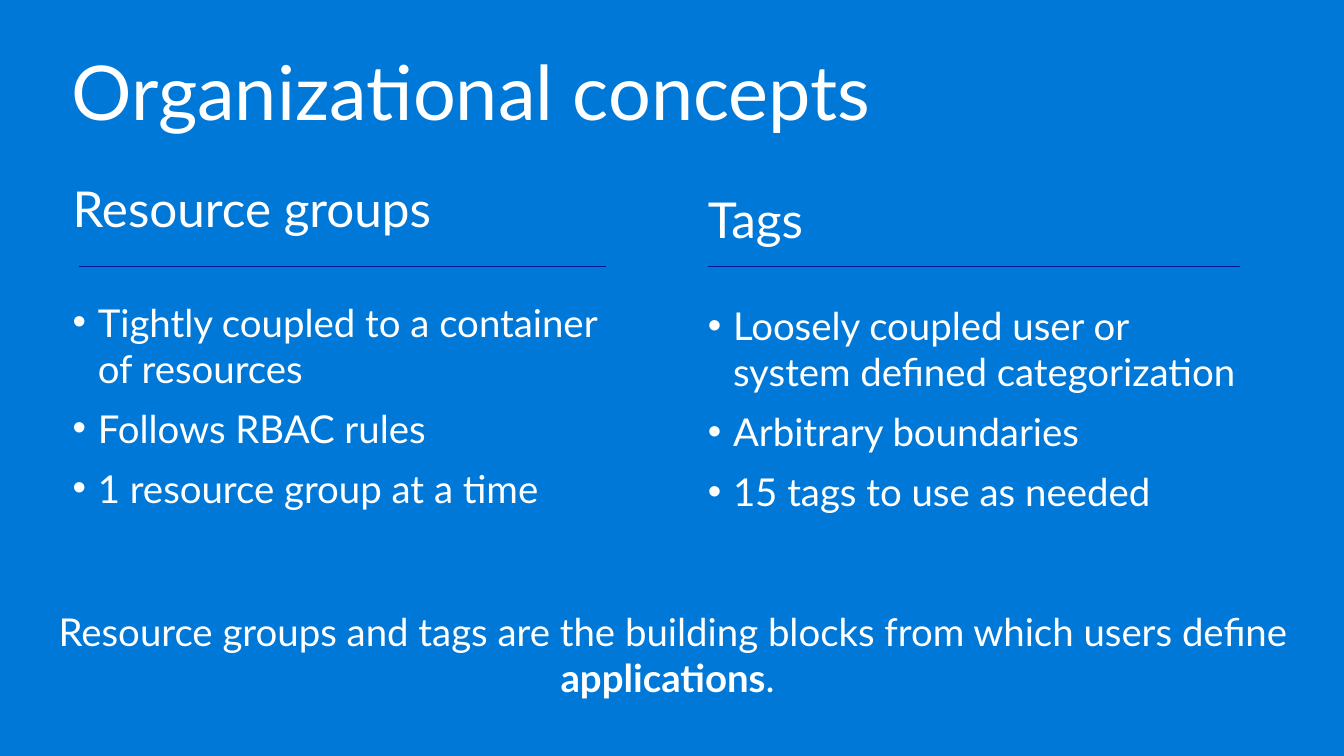
from lxml.etree import SubElement
from pptx import Presentation
from pptx.dml.color import RGBColor
from pptx.enum.shapes import MSO_CONNECTOR
from pptx.enum.text import MSO_ANCHOR, MSO_AUTO_SIZE, PP_ALIGN
from pptx.oxml.ns import qn
from pptx.util import Inches, Pt


def color(hex_value):
    return RGBColor.from_string(hex_value)


def apply(target, values):
    for name, value in values.items():
        setattr(target, name, value)


class Deck:
    font, ink, rule_ink, back = "Lato", "FFFFFF", "00188F", "0078D7"
    cols, rows = 133.3, 75
    title_size, head_size, body_size = 54, 35.3, 27.4
    hang = Inches(0.25)

    def __init__(self):
        self.prs = Presentation()
        apply(self.prs, {"slide_width": Inches(13.33), "slide_height": Inches(7.5)})
        self.s = self.prs.slides.add_slide(self.prs.slide_layouts[3])
        fill = self.s.background.fill
        fill.solid()
        fill.fore_color.rgb = color(self.back)

    def x(self, col):
        return round(self.prs.slide_width * col / self.cols)

    def y(self, row):
        return round(self.prs.slide_height * row / self.rows)

    def frame(self, sp, box, inset=(0.1, 0.05), anchor=MSO_ANCHOR.TOP):
        left, top, width, height = box
        apply(sp, {"left": self.x(left), "top": self.y(top),
                   "width": self.x(width), "height": self.y(height)})
        side, edge = map(Inches, inset)
        tf = sp.text_frame
        apply(tf, {"word_wrap": True, "auto_size": MSO_AUTO_SIZE.NONE,
                   "vertical_anchor": anchor, "margin_left": side,
                   "margin_right": side, "margin_top": edge, "margin_bottom": edge})
        return tf

    def paragraph(self, p, runs, size, before=0, bullet=False, align=PP_ALIGN.LEFT, spacing=1.0):
        apply(p, {"alignment": align, "space_before": Pt(before), "line_spacing": spacing})
        pPr = p._p.get_or_add_pPr()
        pPr.set("marL", str(self.hang if bullet else 0))
        pPr.set("indent", str(-self.hang if bullet else 0))
        if bullet:
            SubElement(pPr, qn("a:buFont")).set("typeface", "Arial")
            SubElement(pPr, qn("a:buChar")).set("char", "•")
        else:
            SubElement(pPr, qn("a:buNone"))
        for text, bold in runs:
            r = p.add_run()
            r.text = text
            apply(r.font, {"name": self.font, "size": Pt(size), "bold": bold})
            r.font.color.rgb = color(self.ink)

    def title(self, text, box):
        tf = self.frame(self.s.shapes.title, box, anchor=MSO_ANCHOR.MIDDLE)
        self.paragraph(tf.paragraphs[0], [(text, False)], self.title_size, spacing=0.9)

    def column(self, idx, box, inset, head, items, gap):
        tf = self.frame(self.s.placeholders[idx], box, inset)
        self.paragraph(tf.paragraphs[0], [(head, False)], self.head_size)
        for i, item in enumerate(items):
            self.paragraph(tf.add_paragraph(), [(item, False)], self.body_size,
                           before=10 if i else gap, bullet=True)

    def summary(self, runs, box, inset):
        tf = self.frame(self.s.shapes.add_textbox(0, 0, 0, 0), box, inset)
        self.paragraph(tf.paragraphs[0], runs, self.body_size, align=PP_ALIGN.CENTER)

    def rule(self, start, end, row):
        line = self.s.shapes.add_connector(MSO_CONNECTOR.STRAIGHT, self.x(start),
                                           self.y(row), self.x(end), self.y(row))
        line.line.color.rgb = color(self.rule_ink)
        line.line.width = Pt(0.75)
        SubElement(line._element.spPr, qn("a:effectLst"))


def main():
    deck = Deck()
    wide = (0.2, 0.16)
    deck.title("Organizational concepts", (6.1, 2.3, 121.2, 14.5))
    deck.column(1, (6.2, 17.2, 54.8, 44), (0.1, 0.05), "Resource groups", [
        "Tightly coupled to a container of resources",
        "Follows RBAC rules",
        "1 resource group at a time",
    ], gap=43.5)
    deck.column(2, (68.2, 17.2, 57.3, 44.4), wide, "Tags", [
        "Loosely coupled user or system defined categorization",
        "Arbitrary boundaries",
        "15 tags to use as needed",
    ], gap=38)
    deck.summary([
        ("Resource groups and tags are the building blocks from which users define ", False),
        ("applications", True),
        (". ", False),
    ], (3, 58.7, 127.4, 15), wide)
    for start, end in ((7.8, 60.1), (70.2, 123)):
        deck.rule(start, end, 26.4)
    deck.prs.save("out.pptx")


if __name__ == "__main__":
    main()
